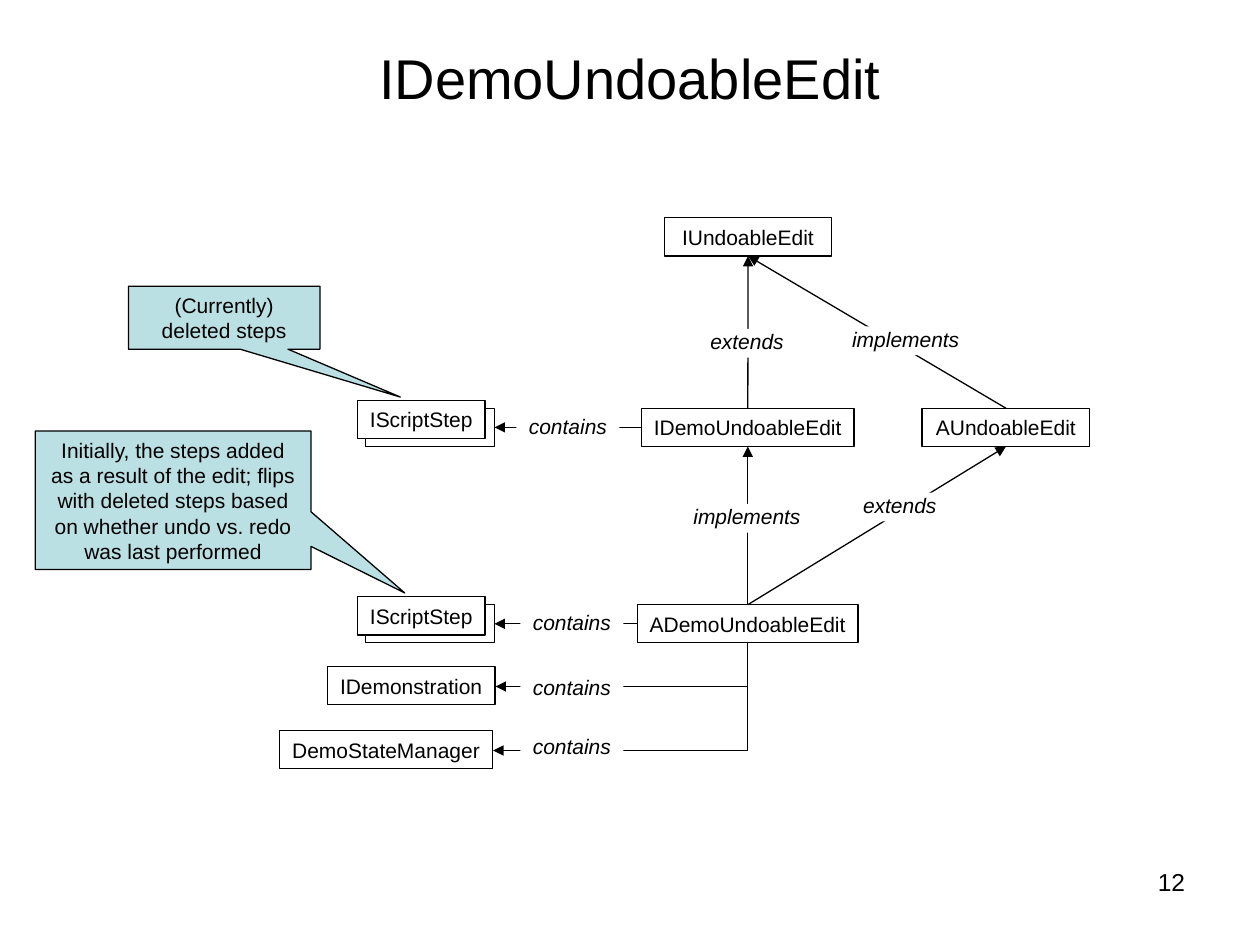
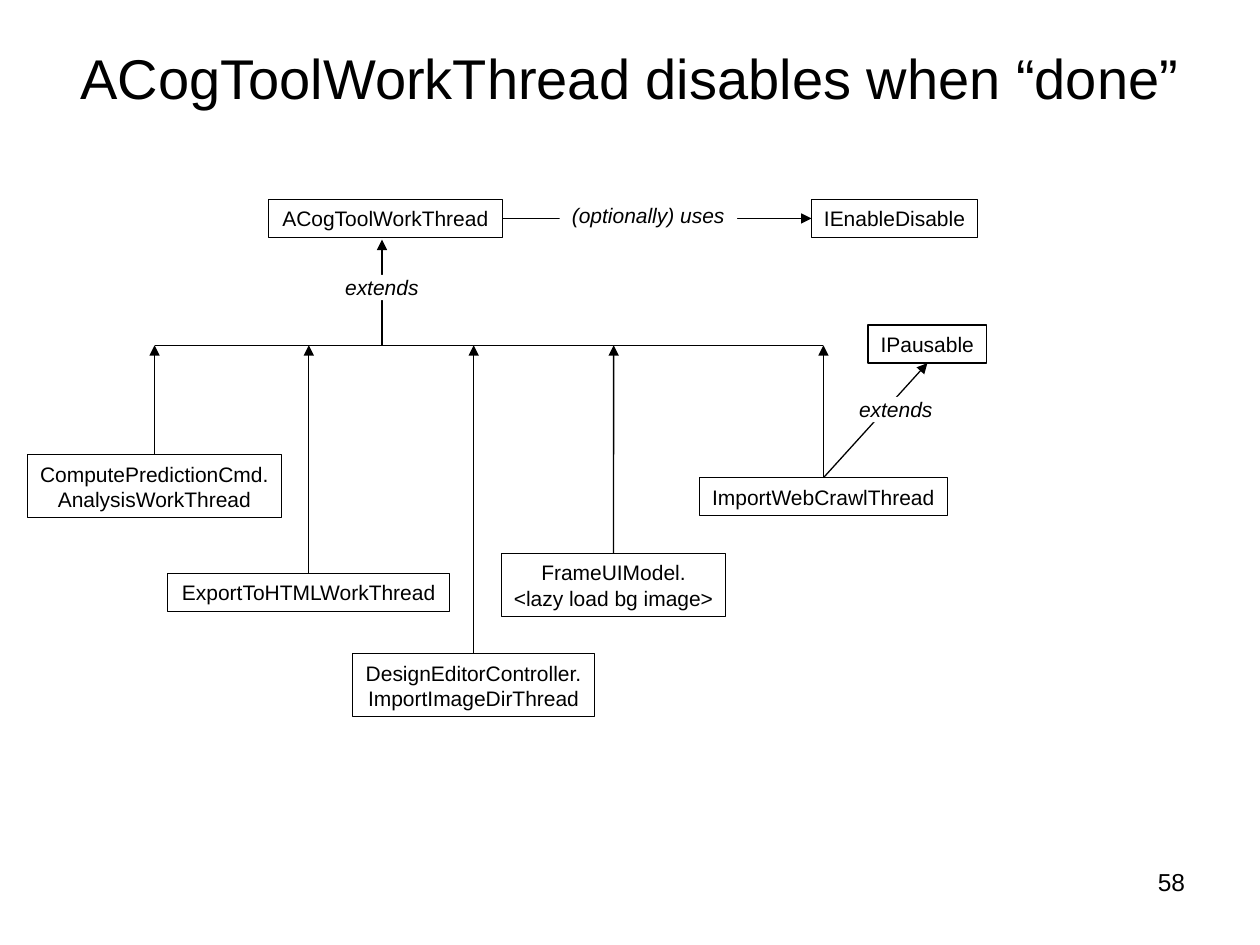
from lxml import etree
from pptx import Presentation
from pptx.dml.color import RGBColor
from pptx.enum.shapes import MSO_CONNECTOR, MSO_SHAPE
from pptx.enum.text import MSO_ANCHOR, PP_ALIGN
from pptx.oxml.ns import qn
from pptx.util import Cm, Pt

STRAIGHT, ELBOW = MSO_CONNECTOR.STRAIGHT, MSO_CONNECTOR.ELBOW
RECTANGLE, CALLOUT = MSO_SHAPE.RECTANGLE, MSO_SHAPE.RECTANGULAR_CALLOUT
TOP, MIDDLE = MSO_ANCHOR.TOP, MSO_ANCHOR.MIDDLE
CENTER, RIGHT = PP_ALIGN.CENTER, PP_ALIGN.RIGHT
TOP_SIDE, LEFT_SIDE, BOTTOM_SIDE, RIGHT_SIDE = range(4)

FONT, BLACK, WHITE, PALE_TEAL = "Arial", "000000", "FFFFFF", "BBE0E3"
LINE_WIDTH = Pt(0.75)
ONE_LINE, TWO_LINES = 0.77, 1.27  # box heights in cm
CARD_OFFSET = 0.16


def draw_box(slide, left, top, width, height, lines=(), label=False,
             kind=RECTANGLE, fill=WHITE):
    """Bordered class box or callout; a label is italic and borderless."""
    box = slide.shapes.add_shape(kind, Cm(left), Cm(top), Cm(width), Cm(height))
    box.shadow.inherit = False
    box.fill.solid()
    box.fill.fore_color.rgb = RGBColor.from_string(fill)
    if label:
        box.line.fill.background()
    else:
        box.line.color.rgb = RGBColor.from_string(BLACK)
        box.line.width = LINE_WIDTH
    frame = box.text_frame
    frame.word_wrap = kind == CALLOUT
    frame.vertical_anchor = TOP
    frame.margin_left = frame.margin_right = Cm(0.25)
    frame.margin_top = frame.margin_bottom = Cm(0 if label else 0.13)
    for i, line in enumerate(lines):
        paragraph = frame.add_paragraph() if i else frame.paragraphs[0]
        paragraph.alignment = CENTER
        run = paragraph.add_run()
        run.text = line
        run.font.name, run.font.size, run.font.italic = FONT, Pt(12), label
        run.font.color.rgb = RGBColor.from_string(BLACK)
    return box


def draw_line(slide, start, end, arrow=True, bent=False):
    """Each end is a point (x, y) in cm, or a pair (box, side) to join."""
    joined = [hasattr(place[0], "shape_id") for place in (start, end)]
    x1, y1 = (0, 0) if joined[0] else start
    x2, y2 = (0, 0) if joined[1] else end
    if bent:
        # Down, then left: the frame is laid out unrotated, then turned by 90°
        mid_x, mid_y = (x1 + x2) / 2, (y1 + y2) / 2
        half_w, half_h = (y2 - y1) / 2, (x1 - x2) / 2
        x1, y1 = mid_x - half_w, mid_y - half_h
        x2, y2 = mid_x + half_w, mid_y + half_h
    line = slide.shapes.add_connector(ELBOW if bent else STRAIGHT,
                                      Cm(x1), Cm(y1), Cm(x2), Cm(y2))
    properties = line._element.spPr
    if bent:
        properties.find(qn("a:xfrm")).set("rot", "5400000")
        properties.find(qn("a:prstGeom")).set("prst", "bentConnector2")
    if joined[0]:
        line.begin_connect(*start)
    if joined[1]:
        line.end_connect(*end)
    line.line.color.rgb = RGBColor.from_string(BLACK)
    line.line.width = LINE_WIDTH
    if arrow:
        etree.SubElement(properties.find(qn("a:ln")), qn("a:tailEnd"), type="triangle")
    etree.SubElement(properties, qn("a:effectLst"))


prs = Presentation()
prs.slide_width, prs.slide_height = Cm(25.4), Cm(19.05)

# Title and page number on both slides
slides = []
for heading, page in [("IDemoUndoableEdit", "12"),
                      ("ACogToolWorkThread disables when “done”", "58")]:
    slide = prs.slides.add_slide(prs.slide_layouts[5])
    title = slide.shapes.title
    title.left, title.top, title.width, title.height = Cm(1.27), Cm(0.76), Cm(22.86), Cm(1.57)
    number = slide.shapes.add_textbox(Cm(19.69), Cm(17.35), Cm(4.45), Cm(1.32))
    for holder, words, size, align, anchor in [(title, heading, 32, CENTER, MIDDLE),
                                               (number, page, 14, RIGHT, TOP)]:
        holder.text_frame.word_wrap = True
        holder.text_frame.vertical_anchor = anchor
        paragraph = holder.text_frame.paragraphs[0]
        paragraph.alignment = align
        run = paragraph.add_run()
        run.text = words
        run.font.name, run.font.size = FONT, Pt(size)
        run.font.color.rgb = RGBColor.from_string(BLACK)
    slides.append(slide)
edit_slide, thread_slide = slides

# Slide 1: class boxes
edit = {}
for name, left, top, width in [
    ("IUndoableEdit", 13.39, 4.39, 3.38),
    ("AUndoableEdit", 18.59, 8.23, 3.38),
    ("IDemoUndoableEdit", 12.93, 8.23, 4.29),
    ("ADemoUndoableEdit", 12.85, 12.19, 4.45),
    ("IDemonstration", 6.6, 13.44, 3.38),
    ("DemoStateManager", 5.64, 14.73, 4.29),
]:
    edit[name] = draw_box(edit_slide, left, top, width, ONE_LINE, [name])

# Stacked script steps, each contained in the edit to its right
for owner, top in [("IDemoUndoableEdit", 8.07), ("ADemoUndoableEdit", 12.03)]:
    back_card = draw_box(edit_slide, 7.21 + CARD_OFFSET, top + CARD_OFFSET, 2.6, ONE_LINE)
    draw_box(edit_slide, 7.21, top, 2.57, ONE_LINE, ["IScriptStep"])
    draw_line(edit_slide, (edit[owner], LEFT_SIDE), (back_card, RIGHT_SIDE))

# Inheritance arrows
for child, parent in [
    ("AUndoableEdit", "IUndoableEdit"),
    ("IDemoUndoableEdit", "IUndoableEdit"),
    ("ADemoUndoableEdit", "IDemoUndoableEdit"),
    ("ADemoUndoableEdit", "AUndoableEdit"),
]:
    draw_line(edit_slide, (edit[child], TOP_SIDE), (edit[parent], BOTTOM_SIDE))

# Bent arrows from the bottom of the demo edit
for end in [(9.99, 13.84), (9.94, 15.13)]:
    draw_line(edit_slide, (15.07, 12.97), end, bent=True)

# Relation labels
for relation, left, top, width, height in [
    ("implements", 17.04, 6.58, 2.44, 0.58),
    ("implements", 13.84, 10.16, 2.44, 0.58),
    ("extends", 13.84, 6.63, 2.44, 0.58),
    ("extends", 16.92, 9.93, 2.44, 0.58),
    ("contains", 10.41, 8.33, 2.08, 0.51),
    ("contains", 10.49, 12.29, 2.08, 0.51),
    ("contains", 10.49, 13.59, 2.08, 0.51),
    ("contains", 10.49, 14.78, 2.08, 0.51),
]:
    draw_box(edit_slide, left, top, width, height, [relation], label=True)

# Callouts on the script steps
for remark, left, top, width, height, tip in [
    ("(Currently) deleted steps", 2.59, 5.77, 3.86, 1.27, (0.92, 1.26)),
    ("Initially, the steps added as a result of the edit; flips with deleted steps "
     "based on whether undo vs. redo was last performed",
     0.71, 8.69, 5.56, 2.79, (0.84, 0.67)),
]:
    callout = draw_box(edit_slide, left, top, width, height, [remark],
                       kind=CALLOUT, fill=PALE_TEAL)
    callout.adjustments[0], callout.adjustments[1] = tip

# Slide 2: base class and interfaces
work_thread = draw_box(thread_slide, 5.41, 4.02, 4.72, ONE_LINE, ["ACogToolWorkThread"])
enable_disable = draw_box(thread_slide, 16.36, 4.02, 3.35, ONE_LINE, ["IEnableDisable"])
pausable = draw_box(thread_slide, 17.5, 6.55, 2.39, ONE_LINE, ["IPausable"])
draw_line(thread_slide, (work_thread, RIGHT_SIDE), (enable_disable, LEFT_SIDE))

# Shared bar leading up to the base class
BAR_Y = 6.96
draw_line(thread_slide, (3.12, BAR_Y), (16.6, BAR_Y), arrow=False)
draw_line(thread_slide, (7.7, BAR_Y), (7.7, 4.83))

# Subclasses, each with an arrow up to the bar
for left, top, width, height, lines in [
    (0.56, 9.17, 5.11, TWO_LINES, ["ComputePredictionCmd.", "AnalysisWorkThread"]),
    (3.38, 11.56, 5.69, ONE_LINE, ["ExportToHTMLWorkThread"]),
    (7.11, 13.18, 4.88, TWO_LINES, ["DesignEditorController.", "ImportImageDirThread"]),
    (10.11, 11.16, 4.52, TWO_LINES, ["FrameUIModel.", "<lazy load bg image>"]),
    (14.1, 9.63, 5, ONE_LINE, ["ImportWebCrawlThread"]),
]:
    subclass = draw_box(thread_slide, left, top, width, height, lines)
    draw_line(thread_slide, (subclass, TOP_SIDE), (left + width / 2, BAR_Y))
# The last subclass, the web crawl, is also pausable
draw_line(thread_slide, (subclass, TOP_SIDE), (pausable, BOTTOM_SIDE))

# Relation labels
for relation, left, top, width in [
    ("(optionally) uses", 11.28, 4.09, 3.58),
    ("extends", 6.71, 5.54, 1.98),
    ("extends", 17.07, 8, 1.98),
]:
    draw_box(thread_slide, left, top, width, 0.51, [relation], label=True)

prs.save("out.pptx")
